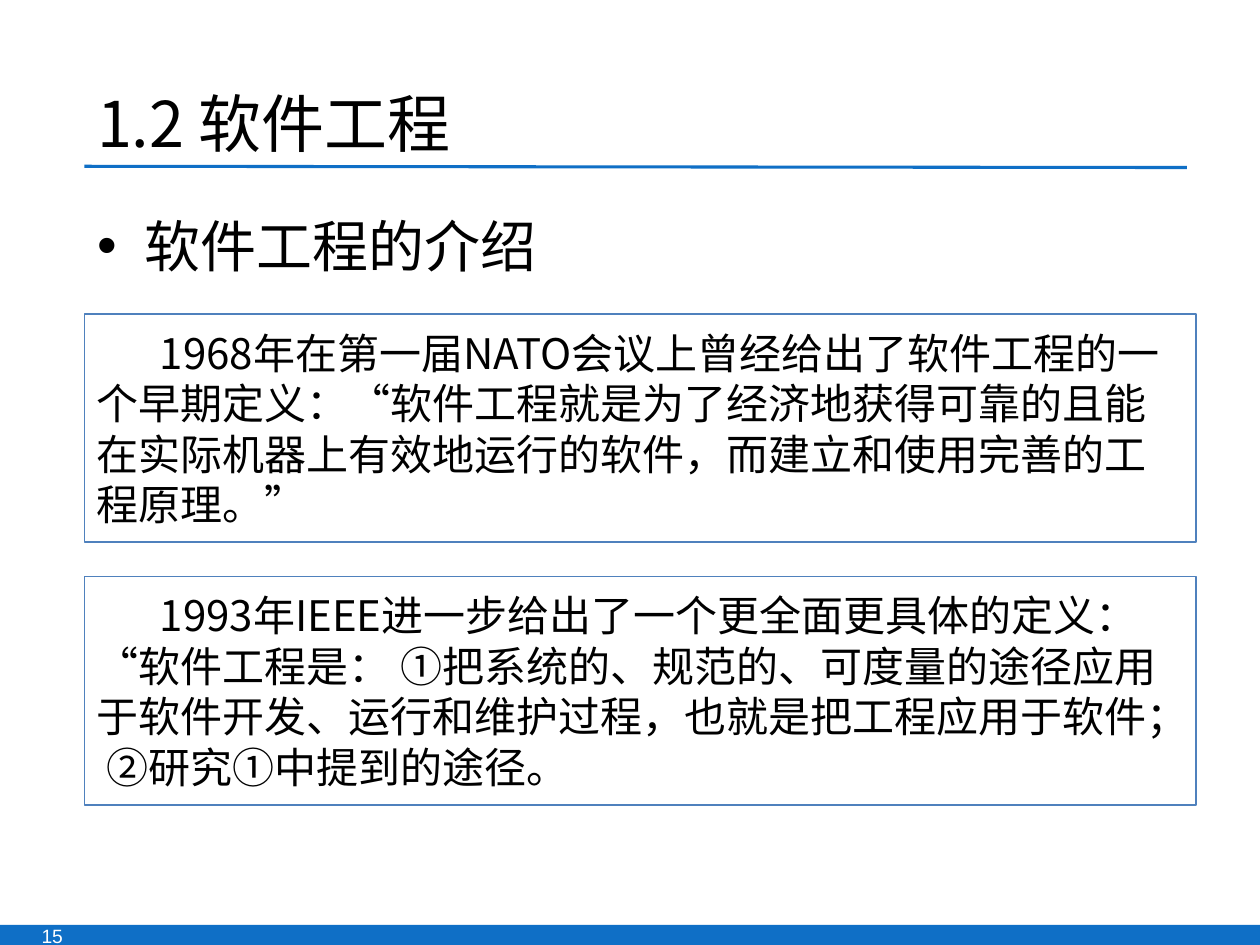
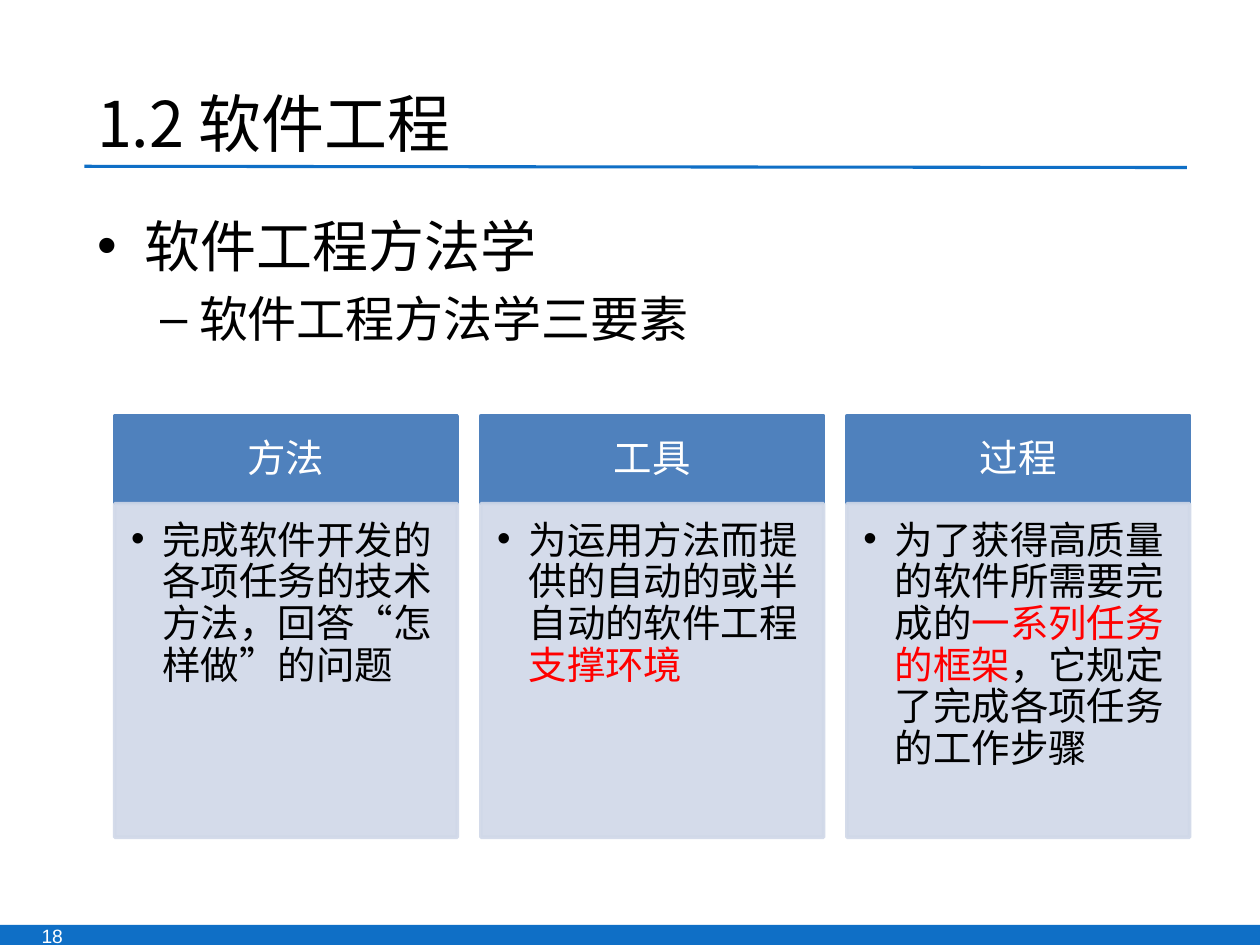
from dataclasses import dataclass
from typing import Any, Optional

from lxml.etree import SubElement
from pptx import Presentation
from pptx.dml.color import RGBColor
from pptx.enum.shapes import MSO_CONNECTOR as Connector, MSO_SHAPE as Preset
from pptx.enum.text import MSO_ANCHOR as Anchor, MSO_AUTO_SIZE as Fit, PP_ALIGN as Align
from pptx.oxml.ns import qn
from pptx.util import Inches, Pt

WIDTH, HEIGHT = Inches(10), Inches(7.5)
COLUMN, ROW = WIDTH / 100, HEIGHT / 100
SANS, LIST_FONT, NUMBER_FONT = "Noto Sans CJK SC", "Noto Sans Mono", "Arial"
BRAND, ACCENT, PALE = "0F6FC6", "4F81BD", "D0D8E8"
BLACK, WHITE, RED = "000000", "FFFFFF", "FF0000"
LEADING = 1.2
CONTENT_LEFT, CONTENT_WIDTH = 6.7, 87.5


@dataclass(frozen=True)
class Area:
    left: float
    top: float
    width: float
    height: float

    def place(self) -> tuple[int, int, int, int]:
        return (round(self.left * COLUMN), round(self.top * ROW),
                round(self.width * COLUMN), round(self.height * ROW))


@dataclass(frozen=True)
class Style:
    size: float
    face: str = SANS
    color: str = BLACK
    align: Align = Align.LEFT
    leading: float = LEADING
    before: float = 0
    level: int = 0
    margin: float = 0
    indent: float = 0
    bullet: str = ""


@dataclass(frozen=True)
class Span:
    text: str
    color: Optional[str] = None


@dataclass(frozen=True)
class Panel:
    area: Area
    fill: str
    line: str
    line_width: float
    anchor: Anchor
    insets: tuple[float, float, float, float] = (0.1, 0.05, 0.1, 0.05)
    opacity: int = 100


@dataclass(frozen=True)
class Card:
    heading: str
    spans: tuple[Span, ...]


TITLE = Style(36)
TOPIC = Style(32, LIST_FONT, margin=0.38, indent=-0.38, bullet="•")
SUBTOPIC = Style(28, LIST_FONT, before=5.6, level=1, margin=0.81, indent=-0.31, bullet="–")
NUMBER = Style(11, NUMBER_FONT, WHITE, Align.CENTER)
DEFINITION = Style(24, indent=0.5)
HEADING = Style(22, color=WHITE, align=Align.CENTER, leading=LEADING * 0.9)
DETAIL = Style(22, leading=LEADING * 0.9, margin=0.25, indent=-0.25, bullet="•")

DEFINITIONS = (
    "1968年在第一届NATO会议上曾经给出了软件工程的一个早期定义：“软件工程就是为了经济地获得可靠的且能在实际机器上有效地运行的软件，而建立和使用完善的工程原理。”",
    "1993年IEEE进一步给出了一个更全面更具体的定义：“软件工程是： ①把系统的、规范的、可度量的途径应用于软件开发、运行和维护过程，也就是把工程应用于软件； ②研究①中提到的途径。",
)
CARDS = (
    Card("方法", (Span("完成软件开发的各项任务的技术方法，回答“怎样做”的问题"),)),
    Card("工具", (Span("为运用方法而提供的自动的或半自动的软件工程"), Span("支撑环境", RED))),
    Card("过程", (Span("为了获得高质量的软件所需要完成的"), Span("一系列任务的框架", RED),
                Span("，它规定了完成各项任务的工作步骤"))),
)


def rgb(color: str) -> RGBColor:
    return RGBColor.from_string(color)


def apply(target: Any, values: dict[str, Any]) -> None:
    for name, value in values.items():
        setattr(target, name, value)


def write(para: Any, spans: tuple[Span, ...], style: Style) -> None:
    apply(para, {"alignment": style.align, "level": style.level,
                 "line_spacing": Pt(round(style.size * style.leading, 1)),
                 "space_before": Pt(style.before), "space_after": Pt(0)})
    properties = para._p.get_or_add_pPr()
    properties.set("marL", str(Inches(style.margin)))
    properties.set("indent", str(Inches(style.indent)))
    if style.bullet:
        SubElement(properties, qn("a:buFont")).set("typeface", NUMBER_FONT)
        SubElement(properties, qn("a:buChar")).set("char", style.bullet)
    else:
        SubElement(properties, qn("a:buNone"))
    for span in spans:
        run = para.add_run()
        run.text = span.text
        apply(run.font, {"size": Pt(style.size), "name": style.face, "bold": False})
        run.font.color.rgb = rgb(span.color or style.color)
        east_asian = SubElement(run._r.get_or_add_rPr(), qn("a:ea"))
        east_asian.set("typeface", style.face)


def fill_placeholder(box: Any, area: Area, anchor: Anchor,
                     lines: list[tuple[str, Style]]) -> None:
    apply(box, dict(zip(("left", "top", "width", "height"), area.place())))
    frame = box.text_frame
    apply(frame, {"vertical_anchor": anchor, "word_wrap": True, "auto_size": Fit.NONE})
    for index, (text, style) in enumerate(lines):
        para = frame.add_paragraph() if index else frame.paragraphs[0]
        write(para, (Span(text),), style)


def draw_panel(page: Any, panel: Panel, spans: tuple[Span, ...], style: Style) -> None:
    box = page.shapes.add_shape(Preset.RECTANGLE, *panel.area.place())
    box.shadow.inherit = False
    box.fill.solid()
    box.fill.fore_color.rgb = rgb(panel.fill)
    box.line.color.rgb = rgb(panel.line)
    box.line.width = Pt(panel.line_width)
    if panel.opacity < 100:
        for color in box._element.spPr.iter(qn("a:srgbClr")):
            SubElement(color, qn("a:alpha")).set("val", str(panel.opacity * 1000))
    sides = ("margin_left", "margin_top", "margin_right", "margin_bottom")
    apply(box.text_frame, {"vertical_anchor": panel.anchor, "word_wrap": True,
                           **dict(zip(sides, map(Inches, panel.insets)))})
    write(box.text_frame.paragraphs[0], spans, style)


def add_page(deck: Any, number: int, list_height: float,
             lines: list[tuple[str, Style]]) -> Any:
    page = deck.slides.add_slide(deck.slide_layouts[1])
    band = page.shapes.add_shape(Preset.RECTANGLE, *Area(0, 97.87, 100, 2.13).place())
    band.shadow.inherit = False
    band.fill.solid()
    band.fill.fore_color.rgb = rgb(BRAND)
    band.line.fill.background()

    left, right = CONTENT_LEFT * COLUMN, (CONTENT_LEFT + CONTENT_WIDTH) * COLUMN
    rule = page.shapes.add_connector(Connector.STRAIGHT, round(left), round(17.6 * ROW),
                                     round(right), round(17.73 * ROW))
    rule.line.color.rgb = rgb(BRAND)
    rule.line.width = Pt(1.75)
    SubElement(rule._element.spPr, qn("a:effectLst"))

    fill_placeholder(page.shapes.title, Area(CONTENT_LEFT, 8.27, CONTENT_WIDTH, 9.33),
                     Anchor.MIDDLE, [("1.2 软件工程", TITLE)])
    fill_placeholder(page.placeholders[1],
                     Area(CONTENT_LEFT, 21.73, CONTENT_WIDTH, list_height),
                     Anchor.TOP, lines)
    number_box = page.shapes.add_textbox(*Area(0.8, 97.2, 6.7, 2.53).place())
    number_box.text_frame.word_wrap = True
    write(number_box.text_frame.paragraphs[0], (Span(str(number)),), NUMBER)
    return page


def add_definitions(deck: Any) -> None:
    page = add_page(deck, 15, 8.53, [("软件工程的介绍", TOPIC)])
    top, pitch, height = 33.2, 27.8, 24.2
    for index, text in enumerate(DEFINITIONS):
        area = Area(CONTENT_LEFT, top + index * pitch, 88.2, height)
        draw_panel(page, Panel(area, WHITE, ACCENT, 1, Anchor.MIDDLE),
                   (Span(text),), DEFINITION)


def add_methodology(deck: Any) -> None:
    page = add_page(deck, 18, 16, [("软件工程方法学", TOPIC),
                                   ("软件工程方法学三要素", SUBTOPIC)])
    first, pitch, width = 9.1, 29.06, 27.2
    top, heading_height, detail_height = 44, 9.3, 35.3
    for index, card in enumerate(CARDS):
        left = first + index * pitch
        draw_panel(page, Panel(Area(left, top, width, heading_height), ACCENT, ACCENT, 2,
                               Anchor.MIDDLE, (0.17, 0.1, 0.17, 0.1)),
                   (Span(card.heading),), HEADING)
        draw_panel(page, Panel(Area(left, top + heading_height, width, detail_height),
                               PALE, PALE, 2, Anchor.TOP, (0.13, 0.13, 0.17, 0.19), 90),
                   card.spans, DETAIL)


def main() -> None:
    deck = Presentation()
    deck.slide_width, deck.slide_height = WIDTH, HEIGHT
    add_definitions(deck)
    add_methodology(deck)
    deck.save("out.pptx")


if __name__ == "__main__":
    main()
